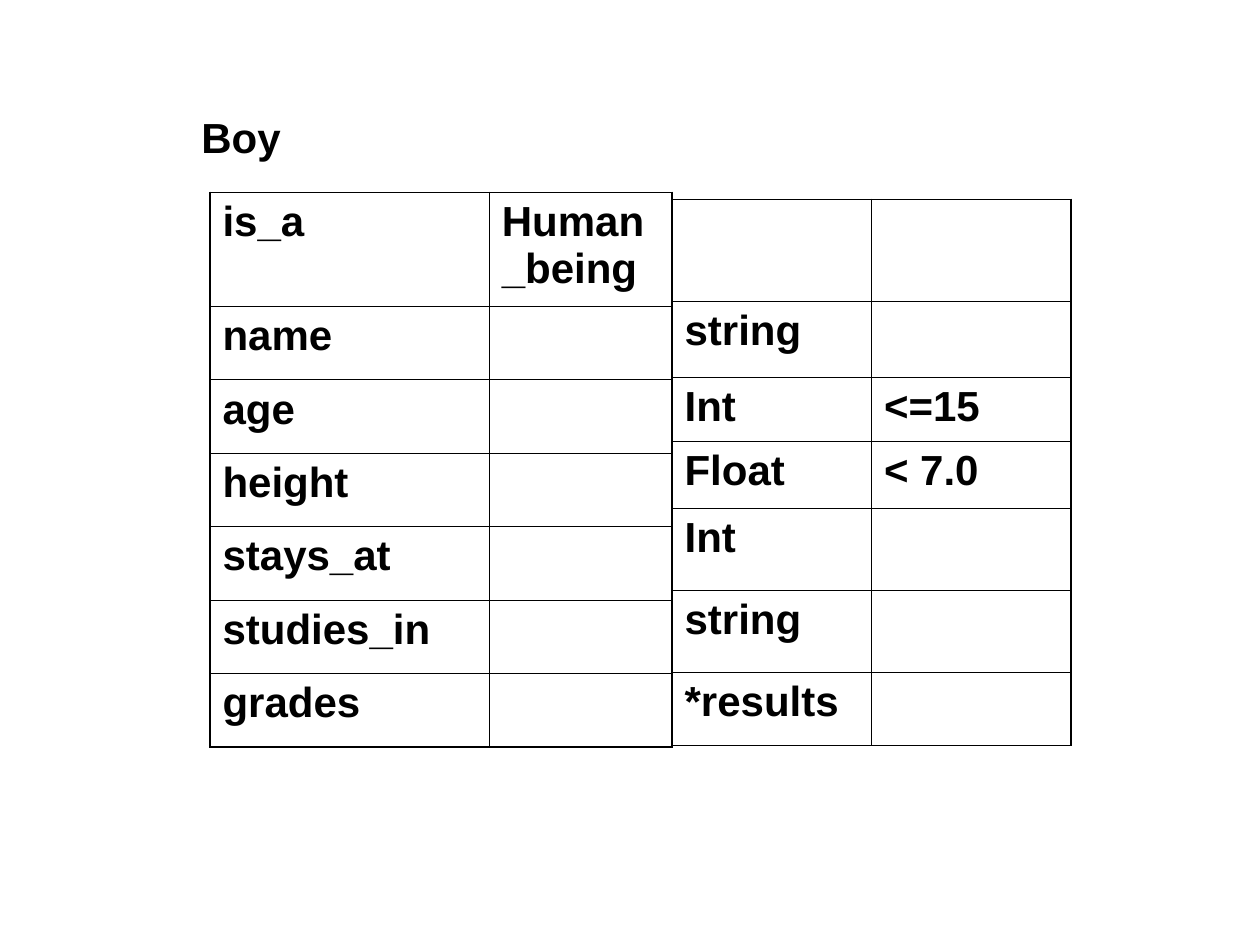
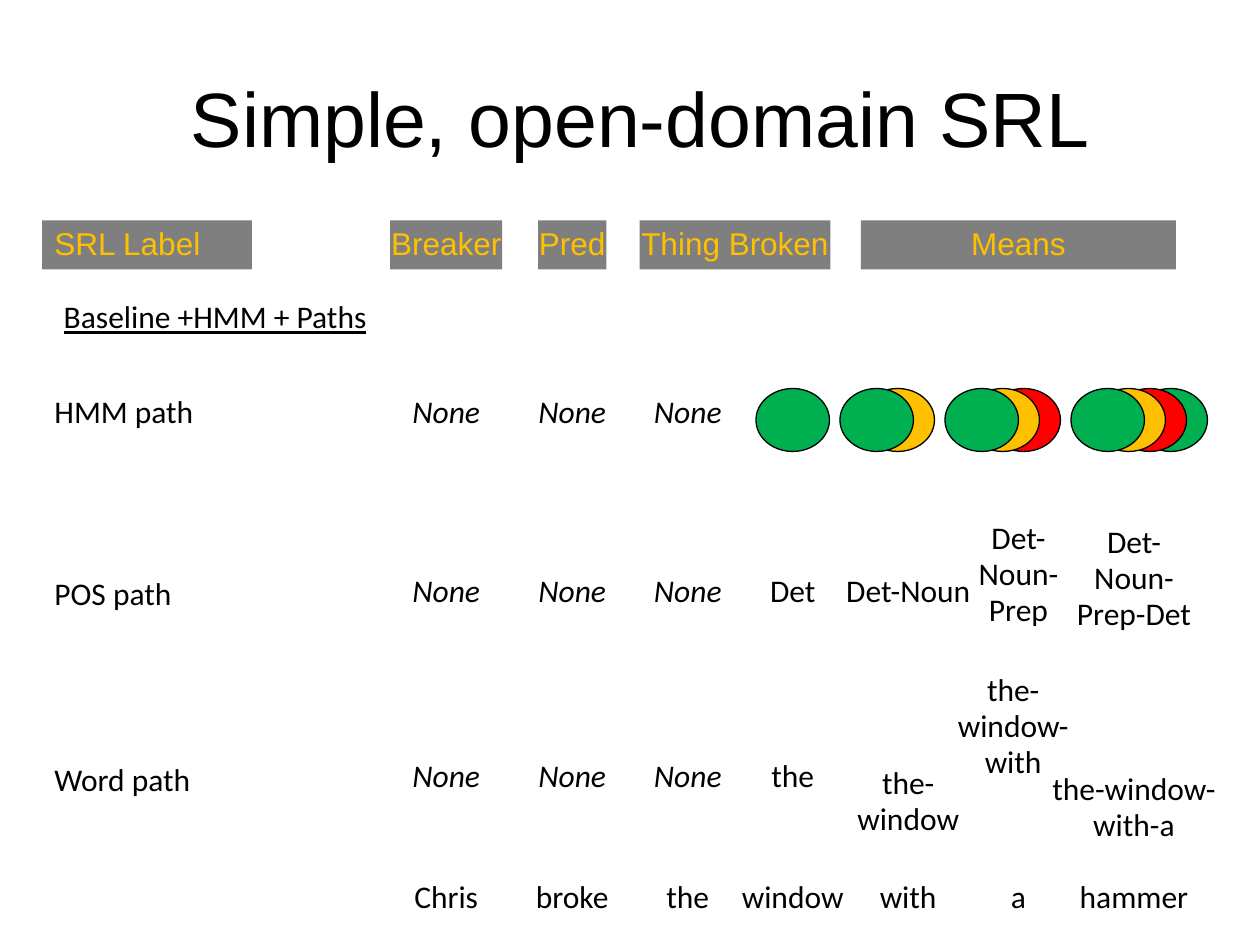
"""Build two slides: the frame of a boy and a simple semantic role labelling chart."""
from lxml import etree
from pptx import Presentation
from pptx.dml import color
from pptx.enum import shapes, text
from pptx.oxml import ns
from pptx.util import Pt

BLACK, GREY, GREEN, AMBER, RED = "000000", "7F7F7F", "00B050", "FFC000", "FF0000"
LEFT, CENTER = text.PP_ALIGN.LEFT, text.PP_ALIGN.CENTER


def rgb(value):
    return color.RGBColor.from_string(value)


def label(page, left, top, width, words, height=28, align=CENTER, fill=None, inset=7.2,
          wrap=True, spacing=0.95, size=18, font="Calibri", ink=BLACK, **style):
    place = Pt(left), Pt(top), Pt(width), Pt(height)
    if fill:
        box = page.shapes.add_shape(shapes.MSO_SHAPE.RECTANGLE, *place)
        box.shadow.inherit = False
        box.fill.solid()
        box.fill.fore_color.rgb = rgb(fill)
        box.line.fill.background()
    else:
        box = page.shapes.add_textbox(*place)
    frame = box.text_frame
    frame.text = words
    frame.word_wrap = wrap
    frame.auto_size = text.MSO_AUTO_SIZE.SHAPE_TO_FIT_TEXT
    frame.vertical_anchor = text.MSO_ANCHOR.TOP
    frame.margin_left = frame.margin_right = Pt(inset)
    para = frame.paragraphs[0]
    para.alignment = align
    para.line_spacing = spacing
    face = para.runs[0].font
    face.size, face.name, face.color.rgb = Pt(size), font, rgb(ink)
    for name, value in style.items():
        setattr(face, name, value)


deck = Presentation()
deck.slide_width, deck.slide_height = Pt(720), Pt(540)

page = deck.slides.add_slide(deck.slide_layouts[6])
label(page, 108, 60, 66, "Boy", height=36, align=LEFT, spacing=1, size=24, font="Arial", bold=True)

slots = [("is_a", "Human_being"), ("name", ""), ("age", ""), ("height", ""),
         ("stays_at", ""), ("studies_in", ""), ("grades", "")]
types = [("", ""), ("string", ""), ("Int", "<=15"), ("Float", "< 7.0"),
         ("Int", ""), ("string", ""), ("*results", "")]
tables = [(120, 110, [159.6, 104.4], [65] + [42] * 6, slots),
          (384, 114, [114, 114], [58.3, 43.5, 36.3, 38.3, 46.8, 46.8, 42], types)]
for left, top, widths, heights, content in tables:
    table = page.shapes.add_table(len(heights), len(widths), Pt(left), Pt(top),
                                  Pt(sum(widths)), Pt(sum(heights))).table
    table.first_row = table.horz_banding = False
    for column, width in zip(table.columns, widths):
        column.width = Pt(width)
    for r, (height, words) in enumerate(zip(heights, content)):
        table.rows[r].height = Pt(height)
        for c, word in enumerate(words):
            cell = table.cell(r, c)
            cell.text = word
            para = cell.text_frame.paragraphs[0]
            para.space_before = Pt(6)
            for span in para.runs:
                span.font.size, span.font.name, span.font.bold = Pt(24), "Arial", True
                span.font.color.rgb = rgb(BLACK)
            outer = {"lnL": c == 0, "lnR": c == len(widths) - 1,
                     "lnT": r == 0, "lnB": r == len(heights) - 1}
            props = cell._tc.get_or_add_tcPr()
            for side, thick in outer.items():
                line = etree.SubElement(props, ns.qn("a:" + side), w=str(Pt(1.08 if thick else 0.45)))
                solid = etree.SubElement(line, ns.qn("a:solidFill"))
                etree.SubElement(solid, ns.qn("a:srgbClr"), val=BLACK)
            cell.fill.background()

page = deck.slides.add_slide(deck.slide_layouts[5])
title = page.shapes.title
title.left, title.top, title.width, title.height = Pt(36), Pt(21.6), Pt(648), Pt(90)
title.text_frame.text = " Simple, open-domain SRL"
title.text_frame.vertical_anchor = text.MSO_ANCHOR.MIDDLE
para = title.text_frame.paragraphs[0]
para.alignment = CENTER
face = para.runs[0].font
face.size, face.name, face.color.rgb = Pt(44), "Arial", rgb(BLACK)

heading = dict(fill=GREY, font="Arial", ink=AMBER)
label(page, 24, 126, 120, "SRL Label", align=LEFT, **heading)
for left, width, words in [(223, 64, "Breaker"), (307.5, 39, "Pred"),
                           (365.5, 109, "Thing Broken"), (492, 180, "Means")]:
    label(page, left, 126, width, words, inset=0, wrap=words == "Means", **heading)
label(page, 0, 168, 246, "Baseline +HMM + Paths", inset=0, underline=True)

centers = [255, 327, 393, 453, 519, 582, 648]
sentence = "Chris broke the window with a hammer".split()
for center, word, width in zip(centers, sentence, [78, 78, 78, 102, 78, 78, 120]):
    label(page, center - width / 2, 499, width, word)

paths = [
    ("HMM path", 222, 222.3, []),
    ("POS path", 324.2, 326.3, [("Det", 408, 324.2, 90, 28), ("Det-Noun", 474, 324.2, 90, 28),
                                ("Det-Noun-Prep", 537, 294, 90, 69),
                                ("Det-Noun-Prep-Det", 603, 296.2, 90, 69)]),
    ("Word path", 429.8, 432.2, [("the", 408, 429.8, 90, 28), ("the-window", 468, 434, 102, 48),
                                 ("the-window-with", 528, 381, 102, 69),
                                 ("the-window-with-a", 594, 437.3, 108, 48)]),
]
for name, top, name_top, steps in paths:
    label(page, 24, name_top, 140, name, align=LEFT)
    for center in centers[:3]:
        label(page, center - 45, top, 90, "None", italic=True)
    for words, left, step_top, width, height in steps:
        label(page, left, step_top, width, words, height=height)

states = [GREEN, AMBER, RED, GREEN]
for count, left in enumerate([432, 480, 540, 612], start=1):
    for i in reversed(range(count)):
        disc = page.shapes.add_shape(shapes.MSO_SHAPE.OVAL, Pt(left + 12 * i), Pt(222), Pt(42), Pt(36))
        disc.shadow.inherit = False
        disc.fill.solid()
        disc.fill.fore_color.rgb = rgb(states[i])
        disc.line.color.rgb = rgb(BLACK)
        disc.line.width = Pt(0.74)

deck.save("out.pptx")
